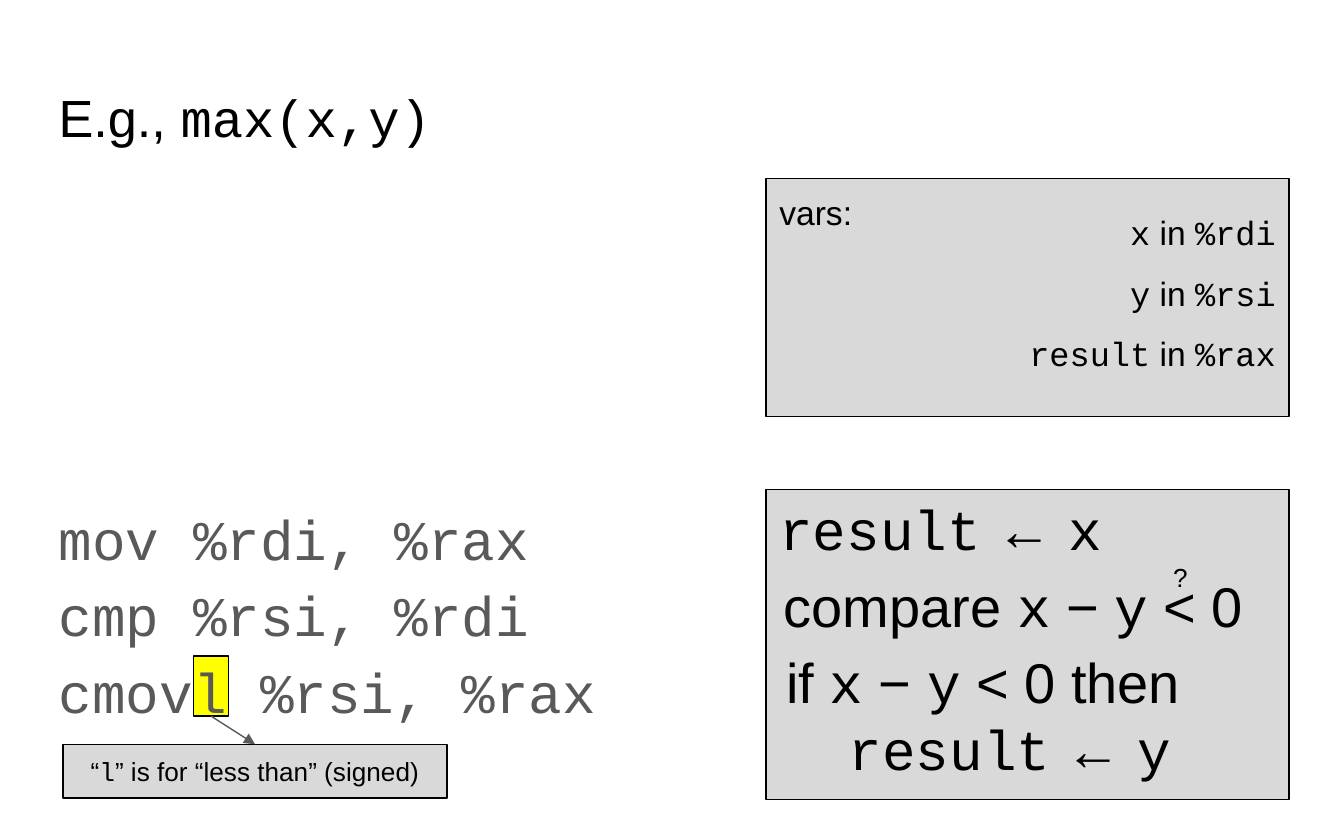
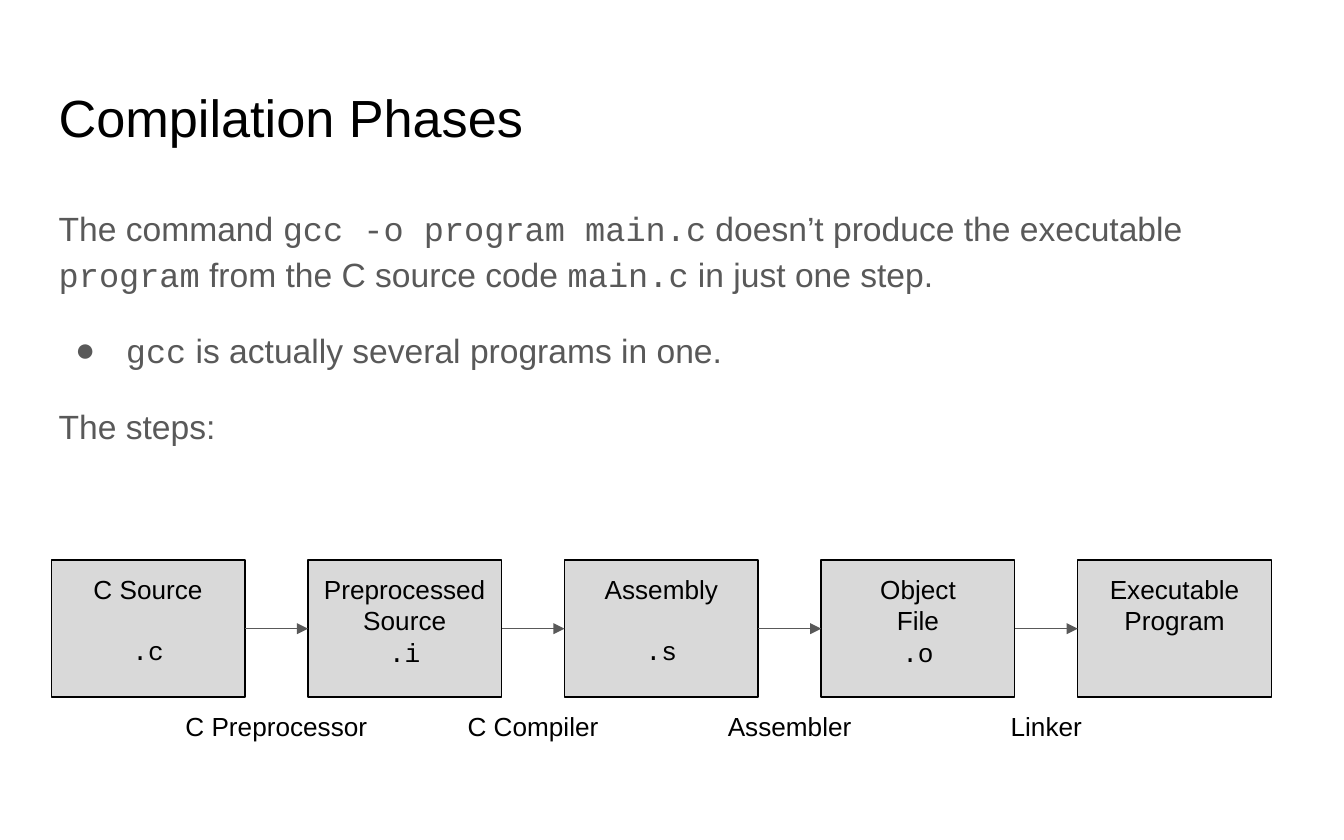
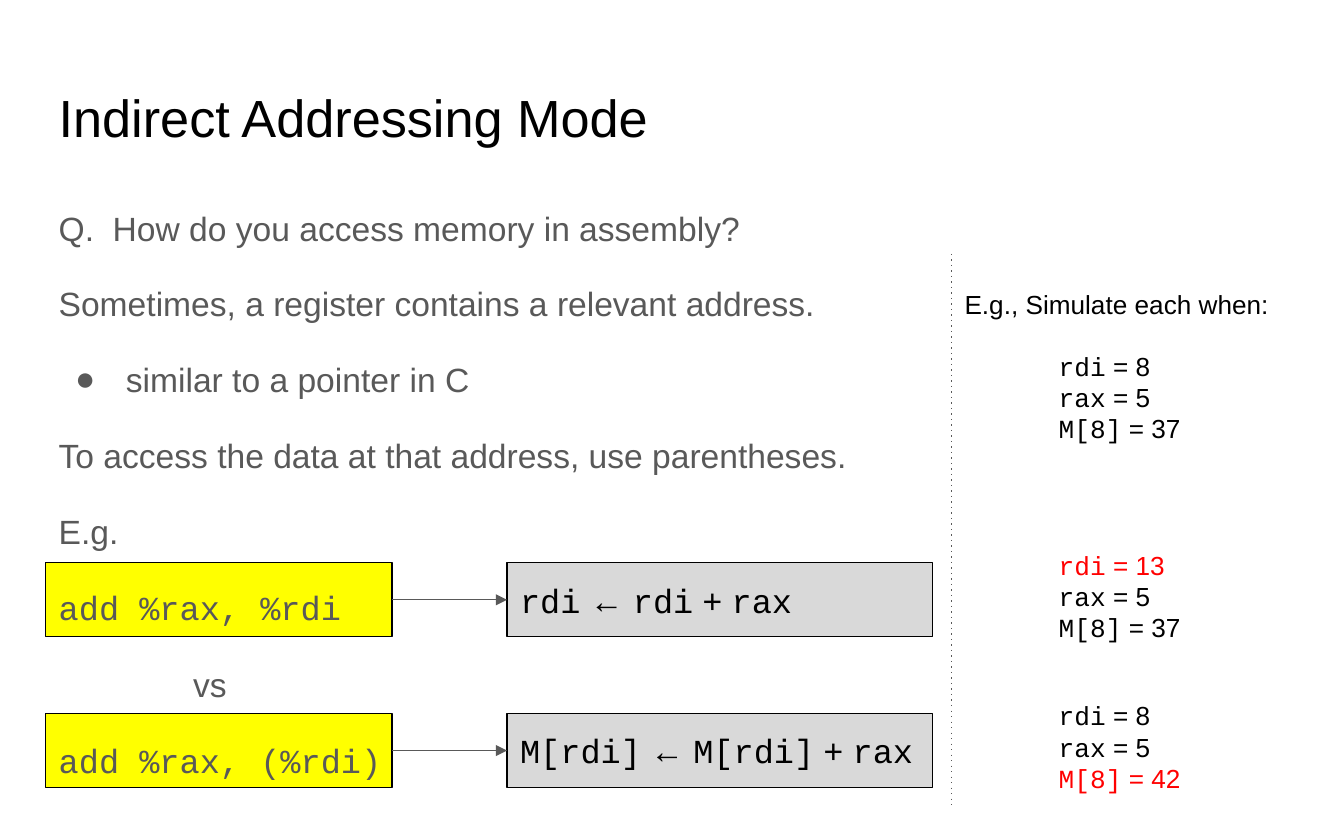
"""Builds three assembly and compilation lecture slides."""
import collections
import dataclasses

import lxml.etree
import pptx
import pptx.dml.color
import pptx.enum.shapes
import pptx.enum.text
import pptx.oxml.ns
import pptx.util

COLORS = {
    "ink": "000000",
    "body": "595959",
    "panel": "D9D9D9",
    "highlight": "FFFF00",
    "changed": "FF0000",
}
FONTS = ("Arial", "Courier New")
TOP, LEFT, BOTTOM, RIGHT = range(4)
INSET = 0.25
LINE_WIDTH = 0.75
ALIGN = pptx.enum.text.PP_ALIGN

Box = collections.namedtuple("Box", "left top width height")
TITLE_BOX = Box(0.86, 1.37, 23.67, 1.78)


@dataclasses.dataclass
class Line:
    """One paragraph; the parts between backticks are set as code."""
    text: str
    color: str = ""
    before: float = 0
    indent: float = 0
    first: float = 0
    bullet: bool = False


def rgb(name):
    """Return the named colour."""
    return pptx.dml.color.RGBColor.from_string(COLORS[name])


def cm_box(box):
    """Return the four lengths of a box in centimetres."""
    return [pptx.util.Cm(length) for length in box]


def add_element(parent, tag, **attributes):
    """Append a drawing element with attributes to its parent."""
    return lxml.etree.SubElement(parent, pptx.oxml.ns.qn(tag), attributes)


def format_paragraph(paragraph, line, align, spacing, after):
    """Set the bullet, indents and spacing of a paragraph."""
    properties = paragraph._p.get_or_add_pPr()
    if line.indent or line.first:
        properties.set("marL", str(pptx.util.Cm(line.indent)))
        properties.set("indent", str(pptx.util.Cm(line.first)))
    if line.bullet:
        color = add_element(properties, "a:buClr")
        add_element(color, "a:srgbClr", val=COLORS["body"])
        add_element(properties, "a:buFont", typeface=FONTS[0])
        add_element(properties, "a:buChar", char="●")
    paragraph.alignment = align
    paragraph.line_spacing = spacing
    if line.before:
        paragraph.space_before = pptx.util.Pt(line.before)
    if after:
        paragraph.space_after = pptx.util.Pt(after)


def write(shape, lines, size, color="ink", align=ALIGN.LEFT, spacing=1.0,
          after=0, anchor=pptx.enum.text.MSO_ANCHOR.TOP):
    """Fill a shape with lines, run by run."""
    frame = shape.text_frame
    frame.word_wrap = True
    frame.vertical_anchor = anchor
    frame.margin_left = frame.margin_right = pptx.util.Cm(INSET)
    frame.margin_top = frame.margin_bottom = pptx.util.Cm(INSET)
    for index, line in enumerate(lines):
        if isinstance(line, str):
            line = Line(line)
        paragraph = frame.add_paragraph() if index else frame.paragraphs[0]
        format_paragraph(paragraph, line, align, spacing, after)
        for part, text in enumerate(line.text.split("`")):
            if text:
                run = paragraph.add_run()
                run.text = text
                run.font.name = FONTS[part % 2]
                run.font.size = pptx.util.Pt(size)
                run.font.color.rgb = rgb(line.color or color)


def add_text(slide, box, lines, size, **style):
    """Add a text box."""
    write(slide.shapes.add_textbox(*cm_box(box)), lines, size, **style)


def add_body(slide, box, lines, size=18, after=16):
    """Add grey body text."""
    add_text(slide, box, lines, size, color="body", spacing=1.15, after=after)


def add_panel(slide, box, fill="panel"):
    """Add an outlined rectangle."""
    shape = slide.shapes.add_shape(
        pptx.enum.shapes.MSO_SHAPE.RECTANGLE, *cm_box(box))
    shape.shadow.inherit = False
    shape.fill.solid()
    shape.fill.fore_color.rgb = rgb(fill)
    shape.line.color.rgb = rgb("ink")
    shape.line.width = pptx.util.Pt(LINE_WIDTH)
    return shape


def add_line(slide, start=(0, 0), end=(0, 0)):
    """Add a thin straight line and return it."""
    connector = slide.shapes.add_connector(
        pptx.enum.shapes.MSO_CONNECTOR.STRAIGHT, *cm_box(start + end))
    connector.line.color.rgb = rgb("body")
    connector.line.width = pptx.util.Pt(LINE_WIDTH)
    add_element(connector._element.spPr, "a:effectLst")
    return connector


def add_arrow(slide, source, source_side, target, target_side):
    """Join two rectangles with an arrow."""
    connector = add_line(slide)
    connector.begin_connect(source, source_side)
    connector.end_connect(target, target_side)
    add_element(connector.line._get_or_add_ln(), "a:tailEnd", type="triangle")


def add_titled_slide(presentation, title):
    """Add a blank slide with a title."""
    slide = presentation.slides.add_slide(presentation.slide_layouts[6])
    add_text(slide, TITLE_BOX, [title], 28)
    return slide


def draw_instructions(slide, box):
    """Draw the code, its highlighted suffix and the suffix note."""
    suffix = add_panel(
        slide, Box(box.left + 2.8, box.top + 3.31, 0.66, 1.14), "highlight")
    pitch = 1.45
    code = ("`mov %rdi, %rax`", "`cmp %rsi, %rdi`", "`cmovl %rsi, %rax`")
    for index, instruction in enumerate(code):
        top = box.top + index * pitch
        add_body(slide, box._replace(top=top), [instruction], 30, after=0)
    note = add_panel(
        slide, Box(box.left + 0.33, box.top + 4.98, 7.26, 1.02))
    write(note, ["“`l`” is for “less than” (signed)"], 14, align=ALIGN.CENTER,
          anchor=pptx.enum.text.MSO_ANCHOR.MIDDLE)
    add_arrow(slide, suffix, BOTTOM, note, TOP)


def draw_variables(slide, box):
    """Draw the panel that maps variables to registers."""
    write(add_panel(slide, box), ["vars:"], 18)
    names = Box(box.left + INSET, box.top, box.width - INSET, 2.44)
    add_text(slide, names,
             ["`x` in `%rdi`", "`y` in `%rsi`", "`result` in `%rax`"],
             18, align=ALIGN.RIGHT, spacing=1.5)


def draw_meaning(slide, box):
    """Draw the panel that explains each instruction."""
    add_panel(slide, box)
    parts = (
        (Box(0, -0.15, 7.26, 2.44), 30, ["`result` ← `x`"]),
        (Box(0.13, 2.74, 10.36, 3.78), 30,
         ["if `x` − `y` < 0 then", Line("`result` ← `y`", indent=1.18)]),
        (Box(0.08, 1.3, 10.36, 2.44), 30, ["compare `x` − `y` < 0"]),
        (Box(7.44, 1.12, 1.02, 1.55), 14, ["?"]),
    )
    for part, size, lines in parts:
        place = part._replace(left=box.left + part.left, top=box.top + part.top)
        add_text(slide, place, lines, size)


def draw_pipeline(slide, box):
    """Draw the compilation stages with the tools between them."""
    stages = (
        ["C Source", Line("`.c`", before=16)],
        ["Preprocessed", "Source", "`.i`"],
        ["Assembly", Line("`.s`", before=16)],
        ["Object", "File", "`.o`"],
        ["Executable", "Program"],
    )
    tools = ("C Preprocessor", "C Compiler", "Assembler", "Linker")
    stage_width, tool_width = 3.66, 5.77
    pitch = (box.width - stage_width) / (len(stages) - 1)
    panels = []
    for index, lines in enumerate(stages):
        left = box.left + index * pitch
        panel = add_panel(slide, box._replace(left=left, width=stage_width))
        write(panel, lines, 14, align=ALIGN.CENTER)
        panels.append(panel)
    for index, tool in enumerate(tools):
        middle = box.left + index * pitch + (stage_width + pitch) / 2
        label = Box(middle - tool_width / 2, box.top + box.height,
                    tool_width, 1.45)
        add_text(slide, label, [tool], 14, align=ALIGN.CENTER)
        add_arrow(slide, panels[index], RIGHT, panels[index + 1], LEFT)


def draw_effect(slide, box, effect):
    """Draw a highlighted instruction place and an arrow to its effect."""
    instruction = add_panel(slide, box._replace(width=6.55), "highlight")
    panel = add_panel(
        slide, box._replace(left=box.left + 8.72, width=box.width - 8.72))
    write(panel, [effect], 18, anchor=pptx.enum.text.MSO_ANCHOR.MIDDLE)
    add_arrow(slide, instruction, RIGHT, panel, LEFT)


def draw_state(slide, box, rdi, memory, changed="", heading=""):
    """Draw the register and memory values, the changed one in red."""
    values = {"rdi": rdi, "rax": 5, "M[8]": memory}
    lines = [Line(f"`{name}` = {value}", indent=1.78,
                  color="changed" if name == changed else "")
             for name, value in values.items()]
    if heading:
        lines[0].before = 16
        lines.insert(0, Line(heading))
    add_text(slide, box, lines, 14)


def draw_simulation(slide, box, row_tops):
    """Draw the dotted divider and the state at the start and by each row."""
    divider = add_line(
        slide, (box.left, box.top), (box.left, box.top + box.height))
    add_element(divider.line._get_or_add_ln(), "a:prstDash", val="dot")
    draw_state(slide, box._replace(top=box.top + 0.41, height=3.73), 8, 37,
               heading="E.g., Simulate each when:")
    results = ((13, 37, "rdi"), (8, 42, "M[8]"))
    for row_top, result in zip(row_tops, results):
        draw_state(slide, box._replace(top=row_top - 0.51, height=2.36),
                   *result)


def build_max_slide(presentation):
    """Build the conditional move example."""
    slide = add_titled_slide(presentation, "E.g., `max(x,y)`")
    draw_instructions(slide, Box(0.86, 9.09, 23.67, 5.31))
    draw_variables(slide, Box(14.48, 3.38, 9.88, 4.5))
    draw_meaning(slide, Box(14.48, 9.25, 9.88, 5.87))


def build_phases_slide(presentation):
    """Build the compilation overview."""
    slide = add_titled_slide(presentation, "Compilation Phases")
    body = Box(0.86, 3.56, 23.67, 10.54)
    add_body(slide, body, [
        "The command `gcc -o program main.c` doesn’t produce the executable "
        "`program` from the C source code `main.c` in just one step."])
    add_body(slide, body._replace(top=5.87), [
        Line("`gcc` is actually several programs in one.",
             indent=1.27, first=-0.96, bullet=True),
        "The steps:"])
    draw_pipeline(slide, Box(0.97, 10.59, 23.06, 2.59))


def build_addressing_slide(presentation):
    """Build the comparison of direct and indirect addressing."""
    slide = add_titled_slide(presentation, "Indirect Addressing Mode")
    row_tops = (10.64, 13.49)
    effects = ("`rdi` ← `rdi` + `rax`", "`M[rdi]` ← `M[rdi]` + `rax`")
    for row_top, effect in zip(row_tops, effects):
        draw_effect(slide, Box(0.86, row_top, 16.77, 1.4), effect)
    body = Box(0.86, 3.56, 23.67, 10.54)
    add_body(slide, body, ["Q.  How do you access memory in assembly?"])
    add_body(slide, body._replace(top=4.98), [
        "Sometimes, a register contains a relevant address.",
        Line("similar to a pointer in C",
             indent=1.27, first=-0.96, bullet=True),
        "To access the data at that address, use parentheses.",
        "E.g.",
        "`add %rax, %rdi`",
        Line("vs", indent=1.27, first=1.27),
        "`add %rax, (%rdi)`"])
    draw_simulation(slide, Box(17.98, 4.8, 6.55, 10.49), row_tops)


def main():
    """Build and save the presentation."""
    presentation = pptx.Presentation()
    presentation.slide_width = pptx.util.Cm(25.4)
    presentation.slide_height = pptx.util.Cm(15.88)
    build_max_slide(presentation)
    build_phases_slide(presentation)
    build_addressing_slide(presentation)
    presentation.save("out.pptx")


if __name__ == "__main__":
    main()
